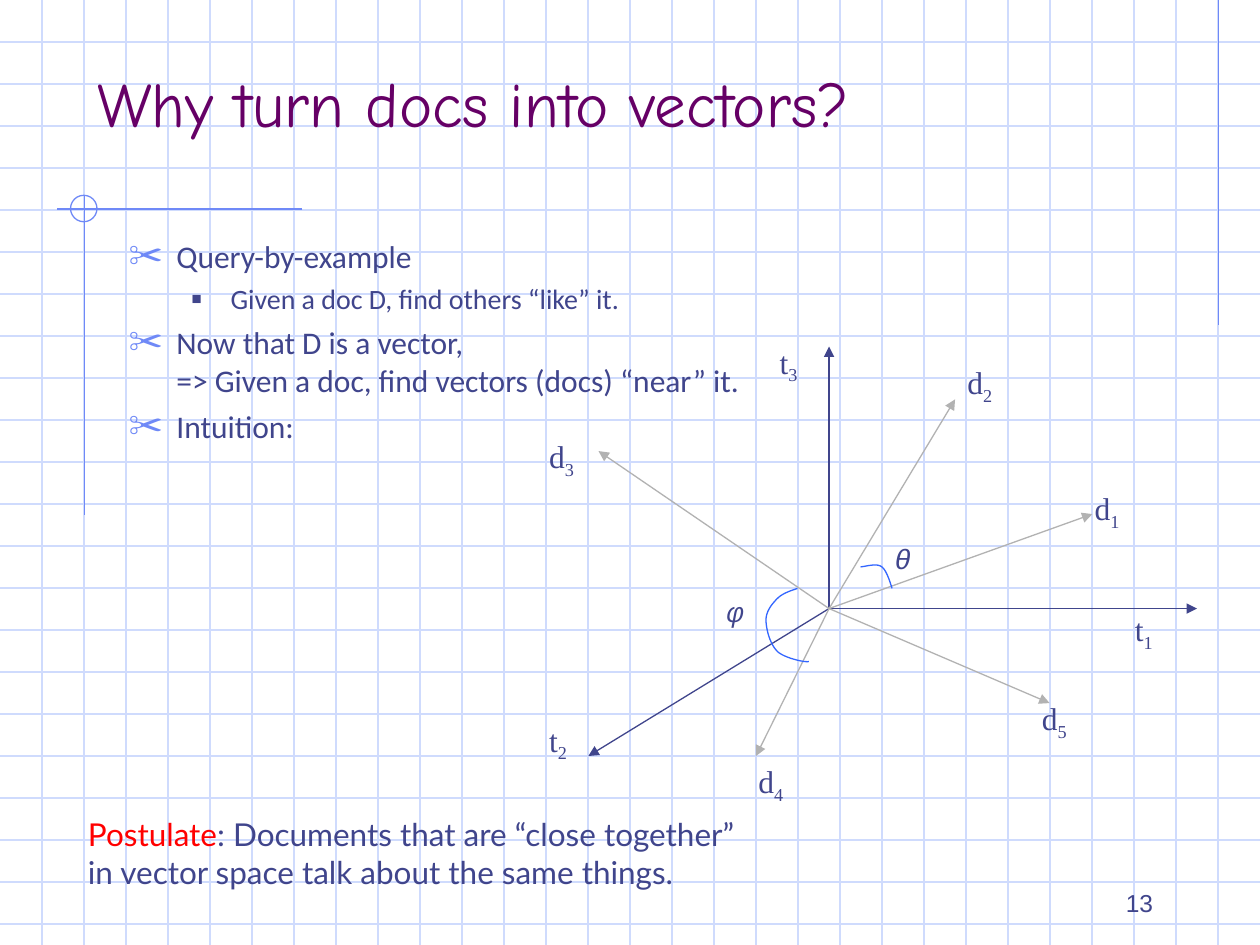
from pptx import Presentation
from pptx.dml.color import RGBColor as RGB
from pptx.enum.shapes import MSO_CONNECTOR as Link, MSO_SHAPE as Shape
from pptx.enum.text import MSO_ANCHOR as Anchor, MSO_AUTO_SIZE as Auto, PP_ALIGN as Align
from pptx.oxml.ns import qn
from pptx.util import Inches, Pt
from lxml.etree import SubElement as Sub

INK = RGB(0x40, 0x45, 0x8C)
GRID = RGB(0xCF, 0xDB, 0xFD)
RULE = RGB(0x6F, 0x89, 0xF7)
PLUM = RGB(0x66, 0x00, 0x66)
GRAY = RGB(0xB2, 0xB2, 0xB2)
BLUE = RGB(0x33, 0x66, 0xFF)
RED = RGB(0xFF, 0x00, 0x00)


def write(para, text, size=18, font="Calibri", color=INK, italic=False, base=0):
    run = para.add_run()
    run.text = text
    face = run.font
    face.size, face.name, face.italic = Pt(size), font, italic
    face.color.rgb = color
    if base:
        face._element.set("baseline", str(base * 1000))


def place(shape, box):
    shape.left, shape.top, shape.width, shape.height = map(Inches, box)


def stroke(shapes, start, end, color, head=False):
    line = shapes.add_connector(Link.STRAIGHT, *map(Inches, start + end))
    line.line.color.rgb = color
    line.line.width = Pt(0.75)
    if head:
        Sub(line.line._get_or_add_ln(), qn("a:tailEnd"), type="triangle")
    Sub(line._element.spPr, qn("a:effectLst"))


def outline(shape, color):
    shape.shadow.inherit = False
    shape.fill.background()
    shape.line.color.rgb = color
    shape.line.width = Pt(0.75)


def add_text(shapes, box, wrap=False):
    area = shapes.add_textbox(*map(Inches, box))
    area.text_frame.word_wrap = wrap
    return area.text_frame


def add_grid(slide, box):
    left, top, width, height = box
    shapes = slide.shapes.add_group_shape().shapes
    for row in range(1, 23):
        y = top + row / 3
        stroke(shapes, (left, y), (left + width, y), GRID)
    for col in range(1, 30):
        x = left + col / 3
        stroke(shapes, (x, top), (x, top + height), GRID)
    stroke(shapes, (left + 9.67, top), (left + 9.67, top + 2.58), RULE)
    stroke(shapes, (left + 2.4, top + 1.66), (left + 0.45, top + 1.66), RULE)
    stroke(shapes, (left + 0.67, top + 1.55), (left + 0.67, top + 4.09), RULE)
    ring = shapes.add_shape(Shape.ARC, *map(Inches, (left + 0.56, top + 1.55, 0.21, 0.21)))
    ring.adjustments[0], ring.adjustments[1] = 0, -90
    outline(ring, RULE)


def add_title(slide, box):
    title = slide.shapes.title
    place(title, box)
    slide.shapes._spTree.append(title._element)
    frame = title.text_frame
    frame.vertical_anchor = Anchor.BOTTOM
    frame.auto_size = Auto.NONE
    para = frame.paragraphs[0]
    para.alignment = Align.LEFT
    write(para, "Why turn docs into vectors?", size=36, font="Comic Neue", color=PLUM)


def set_bullet(para, mark, color, scale, margin, hang):
    props = para._p.get_or_add_pPr()
    props.set("marL", str(Inches(margin)))
    props.set("indent", str(-Inches(hang)))
    Sub(Sub(props, qn("a:buClr")), qn("a:srgbClr"), val=str(color))
    Sub(props, qn("a:buSzPct"), val=str(scale * 1000))
    Sub(props, qn("a:buFont"), typeface="Arial")
    Sub(props, qn("a:buChar"), char=mark)


def add_list(slide, box):
    body = slide.placeholders[1]
    place(body, box)
    slide.shapes._spTree.append(body._element)
    frame = body.text_frame
    frame.auto_size = Auto.NONE
    items = [
        (0, ["Query-by-example"]),
        (1, ["Given a doc D, find others “like” it."]),
        (0, ["Now that D is a vector, ", "=> Given a doc, find vectors (docs) “near” it."]),
        (0, ["Intuition:"]),
    ]
    styles = [(18, 4.5, ("✂", RULE, 110, 0.38, 0.38)), (16, 4, ("■", INK, 60, 0.81, 0.31))]
    for spot, (level, lines) in enumerate(items):
        para = frame.add_paragraph() if spot else frame.paragraphs[0]
        size, gap, bullet = styles[level]
        para.level = level
        para.space_before = Pt(gap)
        set_bullet(para, *bullet)
        for row, line in enumerate(lines):
            if row:
                para.add_line_break()
            write(para, line, size=size)


def bend(knots, steps=12):
    points = [knots[0]]
    for at in range(0, len(knots) - 1, 3):
        a, b, c, d = knots[at:at + 4]
        for step in range(1, steps + 1):
            t = step / steps
            s = 1 - t
            points.append(tuple(
                s**3 * p + 3 * s * s * t * q + 3 * s * t * t * r + t**3 * u
                for p, q, r, u in zip(a, b, c, d)))
    return points


def add_curve(shapes, knots):
    points = [(Inches(x), Inches(y)) for x, y in bend(knots)]
    form = shapes.build_freeform(*points[0])
    form.add_line_segments(points[1:], close=False)
    outline(form.convert_to_shape(), BLUE)


def add_plot(slide, box):
    left, top = box[:2]
    shapes = slide.shapes.add_group_shape().shapes

    def shift(x, y):
        return left + x, top + y

    rays = [
        ("t", "1", INK, (5.24, 2.16), (4.65, 2.12)),
        ("t", "3", INK, (2.32, 0.08), (1.83, 0)),
        ("t", "2", INK, (0.41, 3.33), (0, 3)),
        ("d", "1", GRAY, (4.41, 1.41), (4.33, 1.16)),
        ("d", "5", GRAY, (4.07, 2.91), (3.91, 2.83)),
        ("d", "2", GRAY, (3.32, 0.5), (3.32, 0.16)),
        ("d", "4", GRAY, (1.74, 3.33), (1.66, 3.33)),
        ("d", "3", GRAY, (0.49, 0.91), (0, 0.75)),
    ]
    for name, mark, color, tip, spot in rays:
        stroke(shapes, shift(2.32, 2.16), shift(*tip), color, head=True)
        width = 0.34 if name == "t" else 0.4
        para = add_text(shapes, shift(*spot) + (width, 0.44)).paragraphs[0]
        write(para, name, font="Times New Roman")
        write(para, mark, font="Times New Roman", base=-25)

    angles = [
        ("θ", (2.74, 1.58), [(2.57, 1.83), (2.64, 1.82), (2.7, 1.8), (2.74, 1.83),
                             (2.78, 1.86), (2.81, 1.97), (2.82, 2)]),
        ("φ", (1.41, 2), [(2.07, 2), (2.01, 2.02), (1.95, 2.04), (1.91, 2.08),
                          (1.87, 2.12), (1.82, 2.18), (1.82, 2.25),
                          (1.82, 2.32), (1.85, 2.44), (1.91, 2.5),
                          (1.96, 2.55), (2.13, 2.59), (2.16, 2.58)]),
    ]
    for name, spot, knots in angles:
        add_curve(shapes, [shift(*knot) for knot in knots])
        para = add_text(shapes, shift(*spot) + (0.3, 0.37)).paragraphs[0]
        write(para, name, size=16, font="Courier New", italic=True)


def add_claim(slide, box):
    frame = add_text(slide.shapes, box)
    para = frame.paragraphs[0]
    write(para, "Postulate", font="Lato", color=RED)
    write(para, ": Documents that are “close together”", font="Lato")
    write(frame.add_paragraph(), "in vector space talk about the same things.", font="Lato")


def add_page(slide, box):
    frame = add_text(slide.shapes, box, wrap=True)
    frame.vertical_anchor = Anchor.BOTTOM
    para = frame.paragraphs[0]
    para.alignment = Align.RIGHT
    write(para, "13", size=14, font="Arial")


def main():
    deck = Presentation()
    deck.slide_width, deck.slide_height = Inches(10), Inches(7.5)
    slide = deck.slides.add_slide(deck.slide_layouts[1])
    add_grid(slide, (0, 0, 10, 7.5))
    add_title(slide, (0.67, 0.33, 8.5, 0.83))
    add_page(slide, (7.17, 6.83, 2.08, 0.5))
    add_list(slide, (0.92, 1.83, 8.5, 4.75))
    add_plot(slide, (4.26, 2.67, 5.24, 3.77))
    add_claim(slide, (0.6, 6.42, 5.77, 0.7))
    deck.save("out.pptx")


if __name__ == "__main__":
    main()
